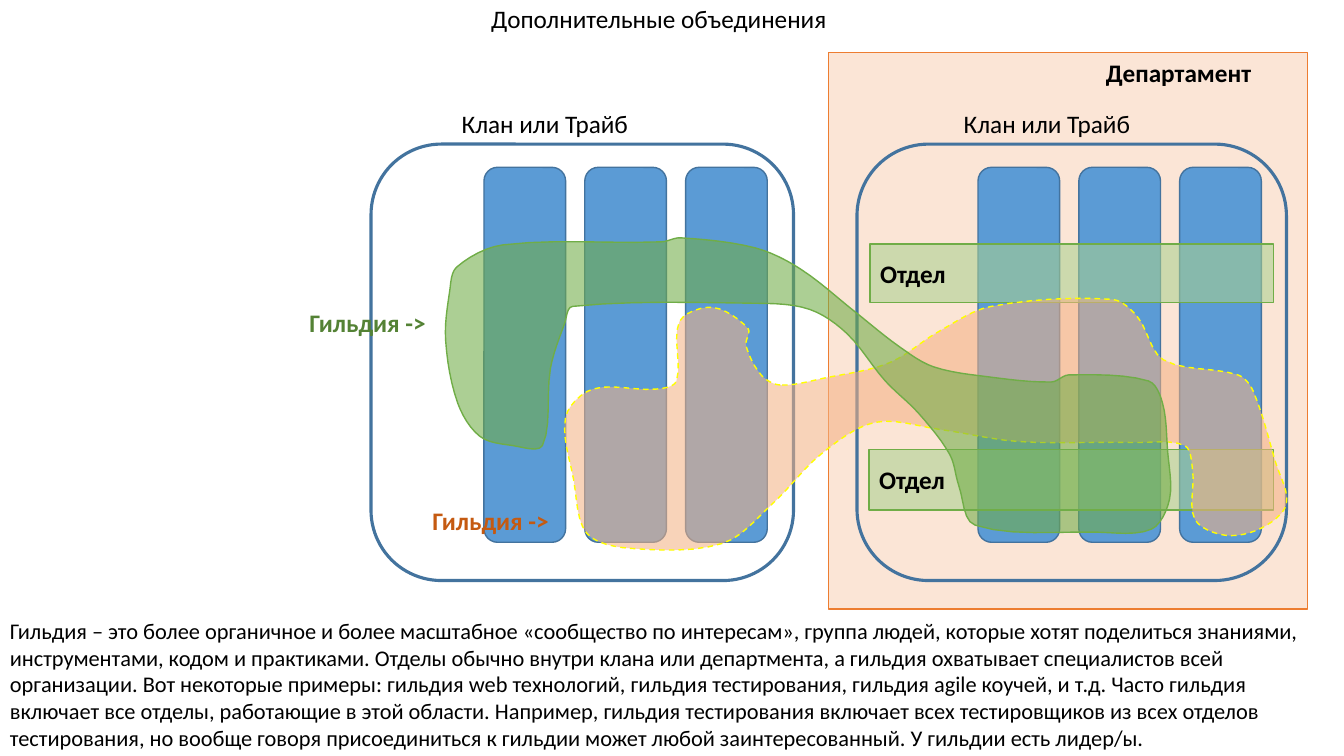
from dataclasses import dataclass

from pptx import Presentation
from pptx.dml.color import RGBColor
from pptx.enum.dml import MSO_LINE
from pptx.enum.shapes import MSO_SHAPE
from pptx.enum.text import MSO_ANCHOR, MSO_AUTO_SIZE, PP_ALIGN
from pptx.oxml.ns import qn
from pptx.shapes.autoshape import Shape
from pptx.slide import Slide
from pptx.text.text import TextFrame
from pptx.util import Inches, Pt
from lxml import etree

RECT = MSO_SHAPE.RECTANGLE
ROUND = MSO_SHAPE.ROUNDED_RECTANGLE
LEFT, CENTER = PP_ALIGN.LEFT, PP_ALIGN.CENTER
MIDDLE = MSO_ANCHOR.MIDDLE
GROW = MSO_AUTO_SIZE.SHAPE_TO_FIT_TEXT
DASH = MSO_LINE.DASH
STEPS = 6

COLORS = {
    "black": "000000", "peach": "FBE5D6", "orange": "ED7D31",
    "blue": "5B9BD5", "navy": "43739E", "light_green": "A9D18E",
    "green": "70AD47", "dark_green": "548235", "salmon": "F4B183",
    "yellow": "FFFF00", "rust": "C55A11",
}


@dataclass
class Style:
    """Fill and outline of a shape."""
    fill: str | None
    line: str
    width: float = 1
    alpha: int = 100
    dashed: bool = False


@dataclass
class Label:
    """A text box with one run."""
    text: str
    at: tuple[float, float, float, float]
    size: int = 18
    bold: bool = False
    color: str = "black"
    align: PP_ALIGN = LEFT
    wrap: bool = True


@dataclass
class Tribe:
    """A rounded frame around three squads."""
    left: float
    width: float
    first_squad: float


@dataclass
class Guild:
    """A smooth closed outline through points in inches."""
    style: Style
    points: list[tuple[float, float]]


DEPARTMENT = Style("peach", "orange")
SQUAD = Style("blue", "navy")
FRAME = Style(None, "navy", 2.25)
CHAPTER = Style("light_green", "green", alpha=57)

TRIBES = [Tribe(8.5, 4.26, 9.7), Tribe(3.68, 4.19, 4.8)]
CHAPTERS = [(8.62, 4.46, 4.01, 0.6), (8.63, 2.42, 4, 0.58)]

GUILDS = [
    Guild(Style("salmon", "yellow", alpha=56, dashed=True), [
        (7.74, 3.82), (7.55, 3.72), (7.4, 3.43), (7.42, 3.26), (7.07, 3.05),
        (6.74, 3.19), (6.71, 3.78), (6.51, 3.86), (5.88, 3.86), (5.61, 4.14),
        (5.69, 4.76), (5.82, 5.29), (6.25, 5.44), (7.17, 5.39), (7.67, 4.99),
        (8.15, 4.5), (8.68, 4.19), (9.32, 4.26), (10.1, 4.38), (11.24, 4.39),
        (11.75, 4.42), (11.83, 4.67), (11.85, 5.15), (12.15, 5.31),
        (12.51, 5.24), (12.76, 5), (12.65, 4.58), (12.43, 3.88),
        (12.28, 3.72), (11.54, 3.57), (11.28, 3.14), (11.03, 2.97),
        (9.83, 3.04), (9.31, 3.29), (8.82, 3.6), (8.18, 3.75),
    ]),
    Guild(Style("green", "green", alpha=58), [
        (10.6, 3.72), (11.39, 3.78), (11.53, 4), (11.58, 4.47), (11.6, 4.95),
        (11.42, 5.25), (10.88, 5.28), (9.67, 5.21), (9.51, 4.82),
        (9.42, 4.51), (9.11, 4.1), (8.78, 3.78), (8.4, 3.31), (8.03, 3.07),
        (7.53, 3.01), (5.68, 3.04), (5.6, 3.21), (5.46, 3.65), (5.38, 4.42),
        (5.08, 4.42), (4.76, 4.33), (4.54, 4), (4.42, 3.38), (4.46, 2.89),
        (4.53, 2.65), (4.99, 2.43), (6.56, 2.4), (6.75, 2.36), (7.49, 2.46),
        (7.94, 2.67), (8.5, 3.11), (8.92, 3.44), (9.26, 3.64), (9.81, 3.74),
        (10.43, 3.79),
    ]),
]

LABELS = [
    Label("Департамент", (10.87, 0.52, 1.66, 0.4), bold=True, wrap=False),
    Label("Дополнительные объединения", (-0.13, -0.02, 13.33, 0.4), align=CENTER),
    Label("Клан или Трайб", (9.46, 1.03, 2.62, 0.4)),
    Label("Клан или Трайб", (4.48, 1.03, 2.62, 0.4)),
    Label("Гильдия ->", (2.97, 3, 1.37, 0.4), bold=True, color="dark_green", wrap=False),
    Label("Гильдия ->", (4.19, 4.96, 1.37, 0.4), bold=True, color="rust", wrap=False),
    Label(
        "Гильдия – это более органичное и более масштабное «сообщество по интересам», "
        "группа людей, которые хотят поделиться знаниями, инструментами, кодом и "
        "практиками. Отделы обычно внутри клана или департмента, а гильдия охватывает "
        "специалистов всей организации. Вот некоторые примеры: гильдия web технологий, "
        "гильдия тестирования, гильдия agile коучей, и т.д. Часто гильдия включает все "
        "отделы, работающие в этой области. Например, гильдия тестирования включает "
        "всех тестировщиков из всех отделов тестирования, но вообще говоря "
        "присоединиться к гильдии может любой заинтересованный. У гильдии есть лидер/ы.",
        (0, 6.07, 13.2, 1.45), size=16),
]


def rgb(name: str) -> RGBColor:
    """Look up a named colour."""
    return RGBColor.from_string(COLORS[name])


def paint(sp: Shape, style: Style) -> None:
    """Apply fill, transparency and outline."""
    sp.shadow.inherit = False
    if style.fill:
        sp.fill.solid()
        sp.fill.fore_color.rgb = rgb(style.fill)
        if style.alpha < 100:
            clr = sp._element.spPr.find(qn("a:solidFill"))[0]
            etree.SubElement(clr, qn("a:alpha")).set("val", str(style.alpha * 1000))
    else:
        sp.fill.background()
    sp.line.color.rgb = rgb(style.line)
    sp.line.width = Pt(style.width)
    if style.dashed:
        sp.line.dash_style = DASH


def write(tf: TextFrame, text: str, size: int, bold: bool, color: str,
          align: PP_ALIGN = LEFT) -> None:
    """Put one formatted run in a text frame."""
    p = tf.paragraphs[0]
    p.alignment = align
    r = p.add_run()
    r.text = text
    for name, value in {"name": "Calibri", "size": Pt(size), "bold": bold}.items():
        setattr(r.font, name, value)
    r.font.color.rgb = rgb(color)


def add_box(s: Slide, kind: MSO_SHAPE, at: tuple[float, float, float, float],
            style: Style) -> Shape:
    """Draw a preset shape."""
    sp = s.shapes.add_shape(kind, *map(Inches, at))
    paint(sp, style)
    return sp


def add_tribe(s: Slide, tribe: Tribe) -> None:
    """Draw three squads and their frame."""
    for i in range(3):
        add_box(s, ROUND, (tribe.first_squad + i, 1.66, 0.81, 3.72), SQUAD)
    add_box(s, ROUND, (tribe.left, 1.43, tribe.width, 4.33), FRAME)


def add_chapter(s: Slide, at: tuple[float, float, float, float]) -> None:
    """Draw a translucent band with its name."""
    tf = add_box(s, RECT, at, CHAPTER).text_frame
    tf.vertical_anchor = MIDDLE
    write(tf, "Отдел", 18, True, "black")


def distance(a: tuple[float, float], b: tuple[float, float]) -> float:
    """Measure the gap between two points."""
    return ((b[0] - a[0]) ** 2 + (b[1] - a[1]) ** 2) ** 0.5


def smooth(points: list[tuple[float, float]]) -> list[tuple[float, float]]:
    """Sample a closed Hermite curve with tangents scaled to each span."""
    n = len(points)
    curve = []
    for i in range(n):
        a, b, c, d = (points[(i + k) % n] for k in (-1, 0, 1, 2))
        span = distance(b, c)
        from_b = span / (distance(a, b) + span)
        from_c = span / (span + distance(c, d))
        for t in (k / STEPS for k in range(STEPS)):
            u = 1 - t
            curve.append(tuple(
                u * u * (1 + 2 * t) * b[x] + t * t * (1 + 2 * u) * c[x]
                + t * u * (u * from_b * (c[x] - a[x]) - t * from_c * (d[x] - b[x]))
                for x in (0, 1)))
    return curve


def add_guild(s: Slide, guild: Guild) -> None:
    """Draw a closed free outline."""
    start, *rest = [tuple(map(Inches, point)) for point in smooth(guild.points)]
    fb = s.shapes.build_freeform(*start)
    fb.add_line_segments(rest, close=True)
    paint(fb.convert_to_shape(), guild.style)


def add_label(s: Slide, label: Label) -> None:
    """Draw a text box."""
    tf = s.shapes.add_textbox(*map(Inches, label.at)).text_frame
    for name, value in {"word_wrap": label.wrap, "auto_size": GROW}.items():
        setattr(tf, name, value)
    write(tf, label.text, label.size, label.bold, label.color, label.align)


def main() -> None:
    """Build the slide and save it."""
    prs = Presentation()
    prs.slide_width, prs.slide_height = Inches(13.33), Inches(7.5)
    s = prs.slides.add_slide(prs.slide_layouts[6])
    add_box(s, RECT, (8.22, 0.52, 4.75, 5.52), DEPARTMENT)
    for draw, items in ((add_tribe, TRIBES), (add_chapter, CHAPTERS),
                        (add_guild, GUILDS), (add_label, LABELS)):
        for item in items:
            draw(s, item)
    prs.save("out.pptx")


if __name__ == "__main__":
    main()
